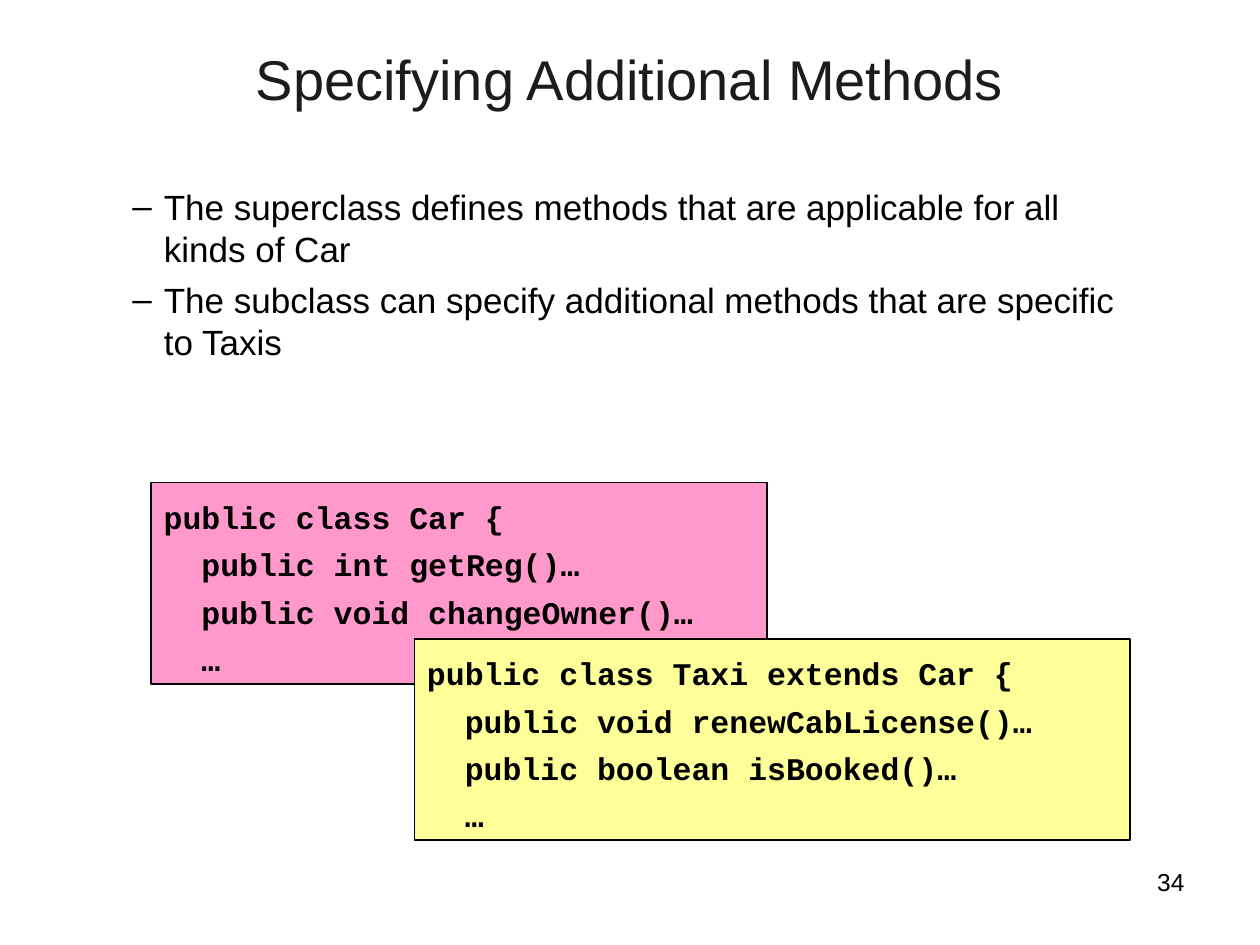
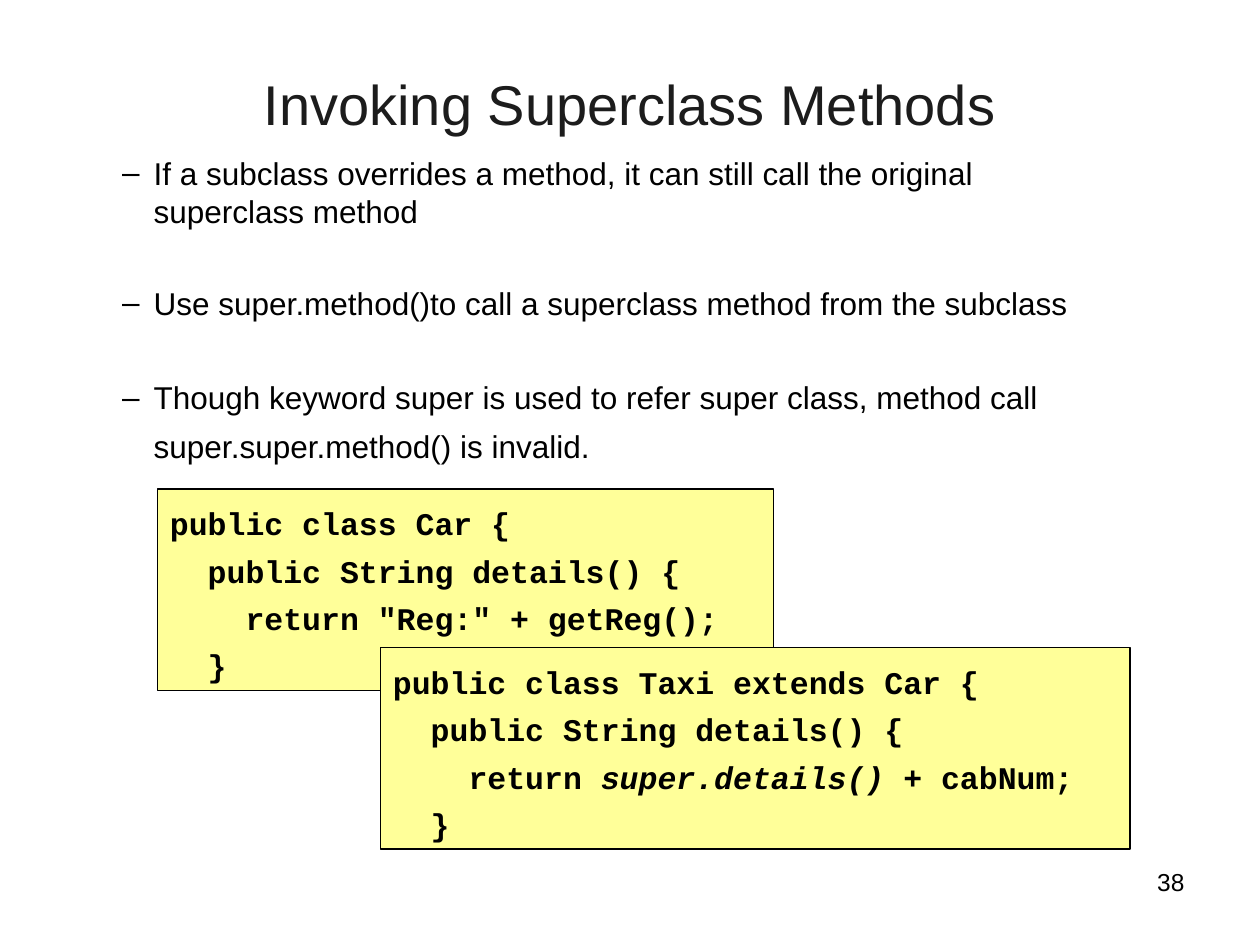
from lxml import etree
from pptx import Presentation
from pptx.dml import color
from pptx.enum import shapes, text
from pptx.oxml import ns
from pptx.util import Inches, Pt

BLACK, TITLE_GREY, PINK, YELLOW = "000000", "1C1C1C", "FF99CC", "FFFF99"
BODY_FONT, CODE_FONT = "Arial", "Courier New"
CODE_SIZE, CODE_HEIGHT = 18, 1.6
CODE_STEP = 2 * 0.6 * CODE_SIZE / 72

SLIDES = [
    {
        "number": "34",
        "title": "Specifying Additional Methods",
        "title_box": (0.5, 0.3, 9, 0.7),
        "body_box": (0.83, 1.42, 8.24, 1.5),
        "body_size": 20,
        "bullets": [
            (5, ["The superclass defines methods that are applicable for all kinds of Car"]),
            (5, ["The subclass can specify additional methods that are specific to Taxis"]),
        ],
        "code": [
            (1.2, 3.83, 4.89, PINK, [
                (0, ["public class Car {"]),
                (1, ["public int getReg()…"]),
                (1, ["public void changeOwner()…"]),
                (1, ["…"]),
            ]),
            (3.29, 5.07, 5.68, YELLOW, [
                (0, ["public class Taxi extends Car {"]),
                (1, ["public void renewCabLicense()…"]),
                (1, ["public boolean isBooked()…"]),
                (1, ["…"]),
            ]),
        ],
    },
    {
        "number": "38",
        "title": "Invoking Superclass Methods",
        "title_box": (0.75, 0.5, 8.5, 1.25),
        "body_box": (0.75, 1.17, 8.24, 3.7),
        "body_size": 18,
        "bullets": [
            (4.5, ["If a subclass overrides a method, it can still call the original superclass method"]),
            (31, ["Use super.method()to call a superclass method from the subclass"]),
            (32.5, ["Though keyword super is used to refer super class, method call "
                    "super.super.method() is invalid.", (" ", {"size": 24})]),
        ],
        "code": [
            (1.25, 3.88, 4.89, YELLOW, [
                (0, ["public class Car {"]),
                (1, ["public String details() {"]),
                (2, ['return "Reg:" + getReg();']),
                (1, ["}"]),
            ]),
            (3.02, 5.14, 5.95, YELLOW, [
                (0, ["public class Taxi extends Car {"]),
                (1, ["public String details() {"]),
                (2, ["return ", ("super.details() ", {"italic": True}), "+ cabNum;"]),
                (1, ["}"]),
            ]),
        ],
    },
]


def rgb(value):
    return color.RGBColor.from_string(value)


def place(shape, box):
    shape.left, shape.top, shape.width, shape.height = map(Inches, box)


def prepare_frame(shape):
    frame = shape.text_frame
    frame.word_wrap = True
    frame.auto_size = text.MSO_AUTO_SIZE.NONE
    frame.vertical_anchor = text.MSO_ANCHOR.TOP
    return frame


def add_run(paragraph, content, *, size, font=BODY_FONT, ink=BLACK, bold=False, italic=False):
    run = paragraph.add_run()
    run.text = content
    run.font.name, run.font.size = font, Pt(size)
    run.font.bold, run.font.italic = bold, italic
    run.font.color.rgb = rgb(ink)


def write(frame, paragraphs, *, align=text.PP_ALIGN.LEFT, spacing=None, **style):
    for index, (parts, layout) in enumerate(paragraphs):
        paragraph = frame.paragraphs[0] if index == 0 else frame.add_paragraph()
        paragraph.alignment = align
        paragraph.line_spacing = spacing
        paragraph.space_before = Pt(layout.get("before", 0))
        paragraph.level = layout.get("level", 0)
        properties = paragraph._p.get_or_add_pPr()
        properties.set("marL", str(Inches(layout.get("margin", 0))))
        properties.set("indent", str(Inches(layout.get("hanging", 0))))
        if "bullet" in layout:
            bullet = etree.SubElement(properties, ns.qn("a:buChar"))
            bullet.set("char", layout["bullet"])
        for part in parts:
            content, changes = (part, {}) if isinstance(part, str) else part
            add_run(paragraph, content, **{**style, **changes})


def add_code(slide, left, top, width, fill, lines):
    box = map(Inches, (left, top, width, CODE_HEIGHT))
    shape = slide.shapes.add_shape(shapes.MSO_SHAPE.RECTANGLE, *box)
    shape.shadow.inherit = False
    shape.fill.solid()
    shape.fill.fore_color.rgb = rgb(fill)
    shape.line.color.rgb = rgb(BLACK)
    shape.line.width = Pt(1)
    paragraphs = [(parts, {"margin": depth * CODE_STEP}) for depth, parts in lines]
    write(prepare_frame(shape), paragraphs, spacing=1.25, size=CODE_SIZE, font=CODE_FONT, bold=True)


def add_slide(presentation, content):
    slide = presentation.slides.add_slide(presentation.slide_layouts[1])
    number = slide.shapes.add_textbox(*map(Inches, (7.17, 6.83, 2.33, 0.52)))
    write(prepare_frame(number), [([content["number"]], {})], align=text.PP_ALIGN.RIGHT, size=14)

    title, body = slide.shapes.title, slide.placeholders[1]
    place(title, content["title_box"])
    write(prepare_frame(title), [([content["title"]], {})],
          align=text.PP_ALIGN.CENTER, size=32, ink=TITLE_GREY)

    place(body, content["body_box"])
    bullet = {"level": 1, "margin": 0.37, "hanging": -0.25, "bullet": "–"}
    paragraphs = [(parts, {**bullet, "before": before}) for before, parts in content["bullets"]]
    write(prepare_frame(body), paragraphs, size=content["body_size"])

    for block in content["code"]:
        add_code(slide, *block)


def main():
    presentation = Presentation()
    presentation.slide_width, presentation.slide_height = Inches(10), Inches(7.5)
    for content in SLIDES:
        add_slide(presentation, content)
    presentation.save("out.pptx")


if __name__ == "__main__":
    main()
